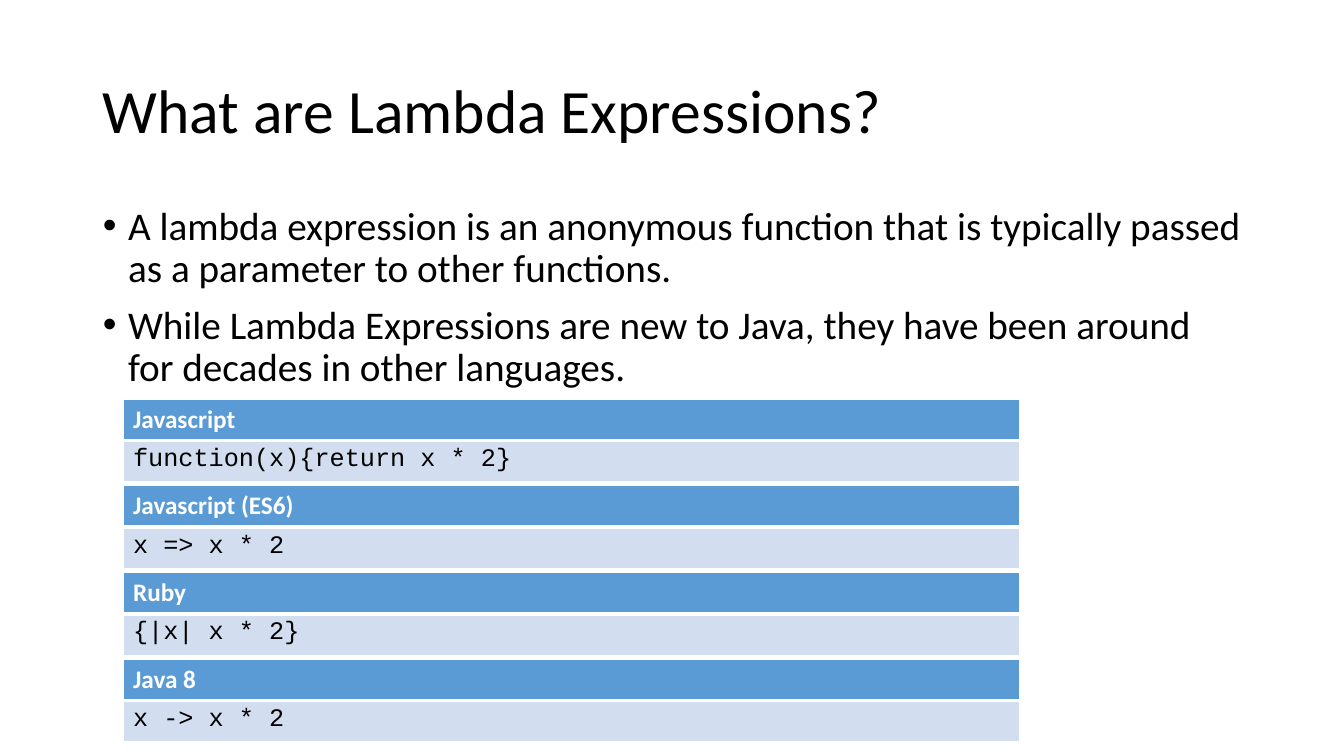
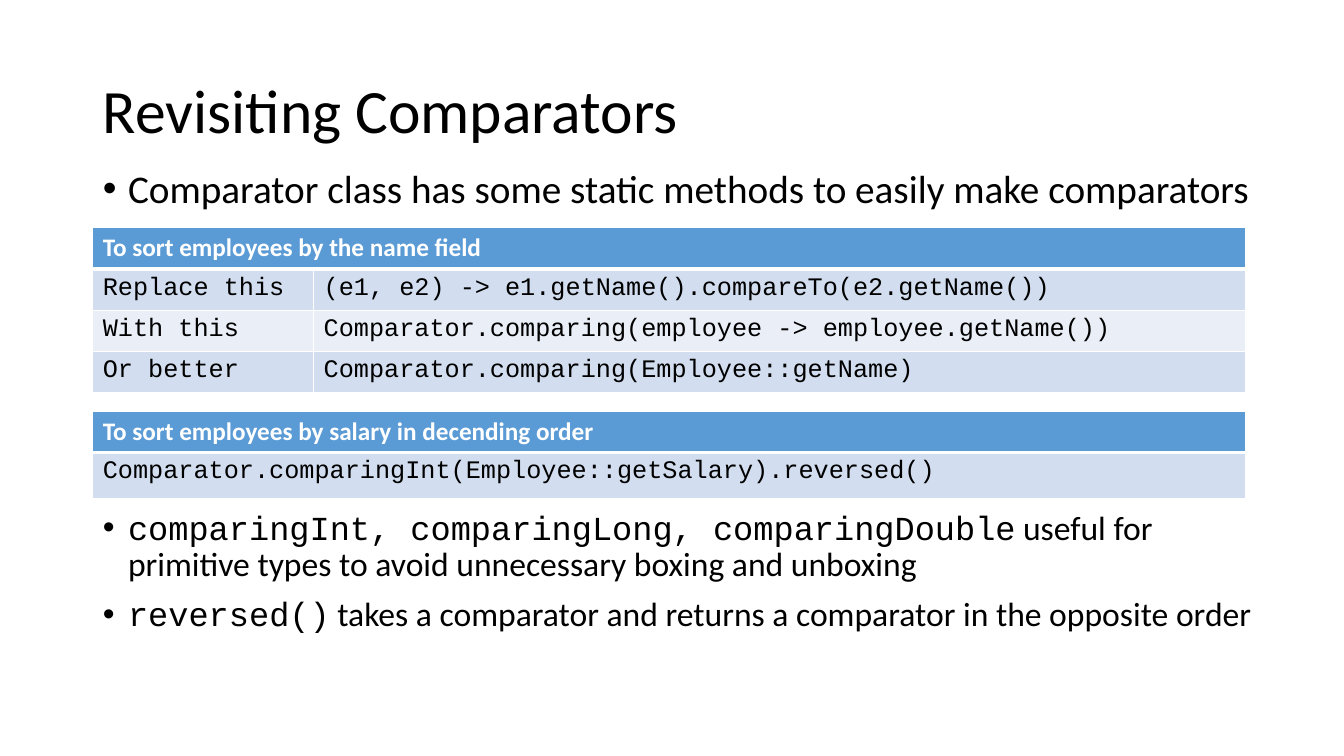
import pptx
import pptx.util
import pptx.dml.color
import pptx.enum.text
import pptx.oxml
import pptx.oxml.ns

Inches = pptx.util.Inches
Pt = pptx.util.Pt

COLORS = {"text": "000000", "white": "FFFFFF", "header": "5B9BD5",
          "band": "D2DEEF", "light_band": "EAEFF7"}
SANS, MONO = "Calibri", "Courier New"
FORMATS = {
    "title": {"size": Pt(44), "name": SANS},
    "body": {"size": Pt(28), "name": SANS},
    "detail": {"size": Pt(24), "name": SANS},
    "detail_code": {"size": Pt(24), "name": MONO},
    "header": {"size": Pt(18), "name": SANS, "bold": True},
    "code": {"size": Pt(18), "name": MONO, "bold": False},
}
BULLET = {"line_spacing": 0.9, "space_before": Pt(10)}
ROW = 0.41

SLIDES = [
    {
        "title": "What are Lambda Expressions?",
        "body_at": (0.92, 2, 11.5, 4.76),
        "bullets": [
            [("A lambda expression is an anonymous function that is typically "
              "passed as a parameter to other functions.", "body")],
            [("While Lambda Expressions are new to Java, they have been around "
              "for decades in other languages.", "body")],
        ],
        "space_before": {},
        "tables_at": (1.22, 3.96),
        "gap": 0.04,
        "tables": [
            {"columns": [8.89], "rows": [ROW, ROW], "cells": [[language], [code]]}
            for language, code in [
                ("Javascript", "function(x){return x * 2}"),
                ("Javascript (ES6)", "x => x * 2"),
                ("Ruby", "{|x| x * 2}"),
                ("Java 8", "x -> x * 2"),
            ]
        ],
    },
    {
        "title": "Revisiting Comparators",
        "body_at": (0.92, 1.63, 11.81, 4.76),
        "bullets": [
            [("Comparator class has some static methods to easily make "
              "comparators", "body")],
            [("comparingInt, comparingLong, comparingDouble", "detail_code"),
             (" useful for primitive types to avoid unnecessary boxing and "
              "unboxing", "detail")],
            [("reversed()", "detail_code"),
             (" takes a comparator and returns a comparator in the opposite "
              "order", "detail")],
        ],
        "space_before": {1: 214},
        "tables_at": (0.92, 2.26),
        "gap": 0.18,
        "tables": [
            {"columns": [2.19, 9.24], "rows": [ROW] * 4, "cells": [
                ["To sort employees by the name field"],
                ["Replace this", "(e1, e2) -> e1.getName().compareTo(e2.getName())"],
                ["With this", "Comparator.comparing(employee -> employee.getName())"],
                ["Or better", "Comparator.comparing(Employee::getName)"],
            ]},
            {"columns": [11.43], "rows": [ROW, 0.46], "cells": [
                ["To sort employees by salary in decending order"],
                ["Comparator.comparingInt(Employee::getSalary).reversed()"],
            ]},
        ],
    },
]


def place(part, box):
    for side, length in zip(("left", "top", "width", "height"), box):
        setattr(part, side, Inches(length))


def write(paragraph, text, style, color="text"):
    run = paragraph.add_run()
    run.text = text
    for attribute, value in FORMATS[style].items():
        setattr(run.font, attribute, value)
    run.font.color.rgb = pptx.dml.color.RGBColor.from_string(COLORS[color])


def add_bullets(body, bullets, spaces):
    frame = body.text_frame
    frame.auto_size = pptx.enum.text.MSO_AUTO_SIZE.NONE
    for index, runs in enumerate(bullets):
        paragraph = frame.paragraphs[0] if index == 0 else frame.add_paragraph()
        for attribute, value in BULLET.items():
            setattr(paragraph, attribute, value)
        if index in spaces:
            paragraph.space_before = Pt(spaces[index])
        properties = paragraph._p.get_or_add_pPr()
        properties.set("marL", str(Inches(0.25)))
        properties.set("indent", str(Inches(-0.25)))
        for text, style in runs:
            write(paragraph, text, style)


def add_borders(cell, row):
    widths = {"L": 1, "R": 1, "T": 3 if row == 1 else 1, "B": 3 if row == 0 else 1}
    for side, points in widths.items():
        cell._tc.get_or_add_tcPr().append(pptx.oxml.parse_xml(
            f'<a:ln{side} {pptx.oxml.ns.nsdecls("a")} w="{Pt(points)}"><a:solidFill>'
            f'<a:srgbClr val="{COLORS["white"]}"/></a:solidFill></a:ln{side}>'))


def add_code_table(slide, left, top, content):
    columns, rows = content["columns"], content["rows"]
    table = slide.shapes.add_table(
        len(rows), len(columns), Inches(left), Inches(top),
        Inches(sum(columns)), Inches(sum(rows))).table
    for column, width in zip(table.columns, columns):
        column.width = Inches(width)
    for row, (height, texts) in enumerate(zip(rows, content["cells"])):
        table.rows[row].height = Inches(height)
        fill = "header" if row == 0 else "band" if row % 2 else "light_band"
        style, color = ("header", "white") if row == 0 else ("code", "text")
        for column in range(len(columns)):
            cell = table.cell(row, column)
            add_borders(cell, row)
            cell.fill.solid()
            cell.fill.fore_color.rgb = pptx.dml.color.RGBColor.from_string(COLORS[fill])
            if column < len(texts):
                write(cell.text_frame.paragraphs[0], texts[column], style, color)
    if len(columns) > 1:
        table.cell(0, 0).merge(table.cell(0, len(columns) - 1))


deck = pptx.Presentation()
deck.slide_width, deck.slide_height = Inches(13.33), Inches(7.5)
layout = deck.slide_layouts[1]
place(layout.placeholders[0], (0.92, 0.4, 11.5, 1.45))
layout.placeholders[0].text_frame.vertical_anchor = pptx.enum.text.MSO_ANCHOR.MIDDLE

for content in SLIDES:
    slide = deck.slides.add_slide(layout)
    heading = slide.shapes.title.text_frame.paragraphs[0]
    heading.alignment = pptx.enum.text.PP_ALIGN.LEFT
    heading.line_spacing = 0.9
    write(heading, content["title"], "title")
    body = slide.placeholders[1]
    place(body, content["body_at"])
    add_bullets(body, content["bullets"], content["space_before"])
    left, top = content["tables_at"]
    for code_table in content["tables"]:
        add_code_table(slide, left, top, code_table)
        top += sum(code_table["rows"]) + content["gap"]

deck.save("out.pptx")
